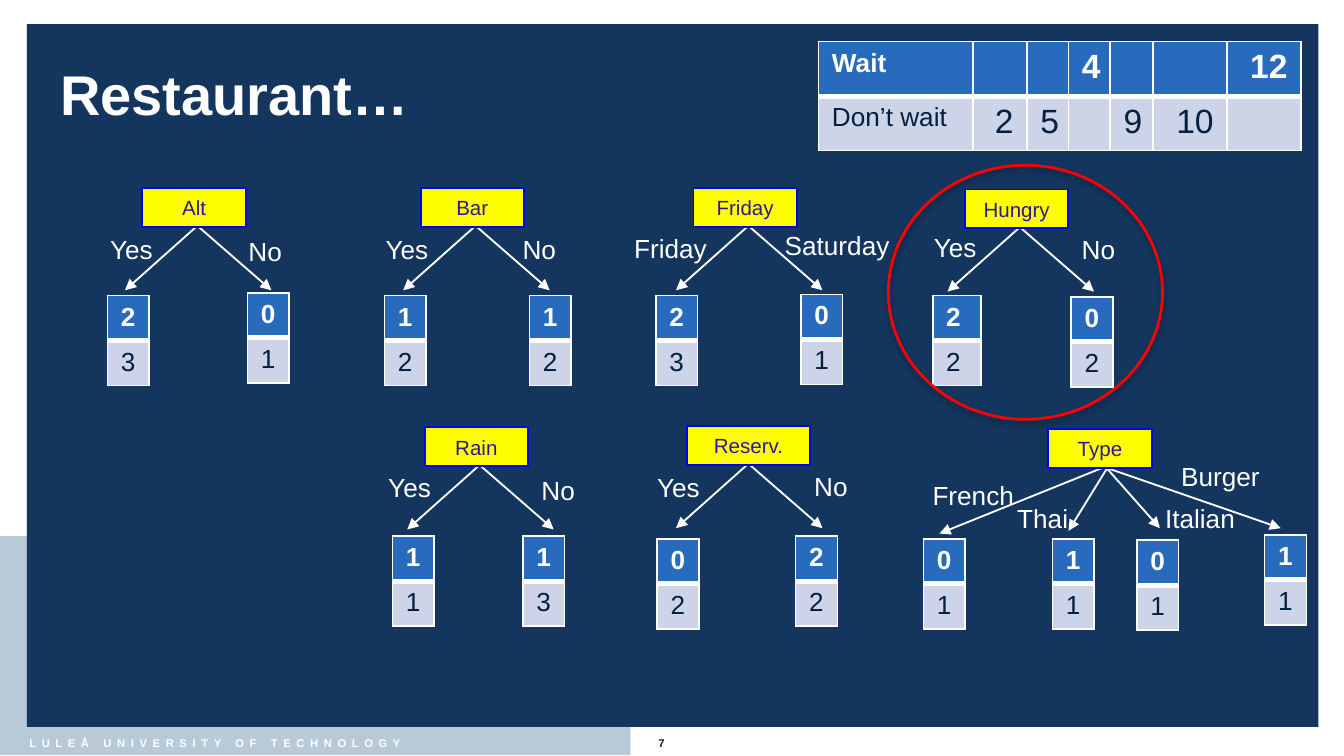
from lxml import etree
from pptx import Presentation
from pptx.dml.color import RGBColor
from pptx.enum.shapes import MSO_CONNECTOR, MSO_SHAPE
from pptx.enum.text import MSO_ANCHOR, PP_ALIGN
from pptx.oxml import parse_xml
from pptx.oxml.ns import nsdecls, qn
from pptx.util import Inches, Pt

WHITE = RGBColor(0xFF, 0xFF, 0xFF)
NAVY = RGBColor(0x14, 0x35, 0x5E)
MIST = RGBColor(0xB8, 0xC9, 0xD7)
INK = RGBColor(0x03, 0x20, 0x40)
YELLOW = RGBColor(0xFF, 0xFF, 0x00)
BLUE = RGBColor(0x00, 0x00, 0xFF)
VIOLET = RGBColor(0x2D, 0x19, 0x93)
HEADER = RGBColor(0x28, 0x6B, 0xBD)
BODY = RGBColor(0xCD, 0xD4, 0xE8)
RED = RGBColor(0xFF, 0x00, 0x00)

LABEL_WIDTHS = {"Yes": 0.52, "No": 0.45, "Friday": 0.75, "Saturday": 0.99,
                "French": 0.81, "Thai": 0.58, "Italian": 0.72, "Burger": 0.79}

# Name, left, top, width, apex of the arrows, branches.
# Branch: label, label left, label top, (wait, don't wait), table left, table top, table width
TREES = [
    ("Alt", 1.06, 1.4, 0.77, 1.48, [
        ("Yes", 0.72, 1.69, (2, 3), 0.8, 2.2, 0.31),
        ("No", 1.75, 1.7, (0, 1), 1.84, 2.18, 0.31)]),
    ("Bar", 3.13, 1.4, 0.77, 3.55, [
        ("Yes", 2.77, 1.69, (1, 2), 2.86, 2.2, 0.31),
        ("No", 3.79, 1.69, (1, 2), 3.94, 2.2, 0.31)]),
    ("Friday", 5.16, 1.4, 0.77, 5.58, [
        ("Friday", 4.62, 1.68, (2, 3), 4.88, 2.2, 0.31),
        ("Saturday", 5.74, 1.66, (0, 1), 5.96, 2.19, 0.31)]),
    ("Hungry", 7.18, 1.41, 0.77, 7.6, [
        ("Yes", 6.85, 1.67, (2, 2), 6.94, 2.2, 0.36),
        ("No", 7.95, 1.69, (0, 2), 7.97, 2.21, 0.31)]),
    ("Rain", 3.16, 3.18, 0.77, 3.58, [
        ("Yes", 2.79, 3.46, (1, 1), 2.92, 3.99, 0.31),
        ("No", 3.93, 3.48, (1, 3), 3.89, 3.99, 0.31)]),
    ("Reserv.", 5.11, 3.17, 0.92, 5.58, [
        ("Yes", 4.79, 3.46, (0, 2), 4.89, 4.01, 0.31),
        ("No", 5.96, 3.45, (2, 2), 5.92, 3.99, 0.31)]),
    ("Type", 7.8, 3.19, 0.77, 8.24, [
        ("French", 6.84, 3.52, (0, 1), 6.87, 4.01, 0.31),
        ("Thai", 7.47, 3.69, (1, 1), 7.83, 4.01, 0.31),
        ("Italian", 8.57, 3.69, (0, 1), 8.46, 4.02, 0.31),
        ("Burger", 8.69, 3.38, (1, 1), 9.41, 3.98, 0.31)]),
]
TYPE_ARROWS = [((8.28, 3.45), (6.99, 3.97)), ((8.24, 3.48), (7.95, 3.95)),
               ((8.24, 3.49), (8.63, 3.93)), ((8.23, 3.48), (9.53, 3.93))]


class SlideBuilder:
    font = "Arial"

    def __init__(self, slide):
        self.slide = slide

    def style(self, p, size, color, bold=False, spacing=None):
        for r in p.runs:
            r.font.name, r.font.size, r.font.bold = self.font, Pt(size), bold
            r.font.color.rgb = color
            if spacing:
                r.font._element.set("spc", str(spacing * 100))

    def shape(self, kind, left, top, width, height, fill=None, line=None, weight=1):
        sp = self.slide.shapes.add_shape(
            kind, Inches(left), Inches(top), Inches(width), Inches(height))
        sp.shadow.inherit = False
        if fill is None:
            sp.fill.background()
        else:
            sp.fill.solid()
            sp.fill.fore_color.rgb = fill
        if line is None:
            sp.line.fill.background()
        else:
            sp.line.color.rgb = line
            sp.line.width = Pt(weight)
        return sp

    def panel(self, left, top, width, height, fill):
        self.shape(MSO_SHAPE.RECTANGLE, left, top, width, height, fill)

    def node(self, text, left, top, width):
        sp = self.shape(MSO_SHAPE.RECTANGLE, left, top, width, 0.29, YELLOW, BLUE)
        tf = sp.text_frame
        tf.text = text
        tf.vertical_anchor = MSO_ANCHOR.MIDDLE
        tf.paragraphs[0].alignment = PP_ALIGN.CENTER
        self.style(tf.paragraphs[0], 11, VIOLET)

    def text(self, text, left, top, width, height, size, color=WHITE, bold=False,
             spacing=None, anchor=MSO_ANCHOR.TOP, wrap=False):
        sp = self.slide.shapes.add_textbox(
            Inches(left), Inches(top), Inches(width), Inches(height))
        tf = sp.text_frame
        tf.text = text
        tf.word_wrap = wrap
        tf.vertical_anchor = anchor
        self.style(tf.paragraphs[0], size, color, bold, spacing)

    def arrow(self, start, end):
        line = self.slide.shapes.add_connector(
            MSO_CONNECTOR.STRAIGHT, *map(Inches, start + end))
        line.line.color.rgb = WHITE
        line.line.width = Pt(1)
        etree.SubElement(line.line._get_or_add_ln(), qn("a:tailEnd"), type="triangle")
        etree.SubElement(line._element.spPr, qn("a:effectLst"))

    def borders(self, cell, top, bottom):
        sides = (("L", 1), ("R", 1), ("T", top), ("B", bottom))
        for i, (side, weight) in enumerate(sides):
            cell._tc.get_or_add_tcPr().insert(i, parse_xml(
                f'<a:ln{side} {nsdecls("a")} w="{Pt(weight)}"><a:solidFill>'
                f'<a:srgbClr val="{WHITE}"/></a:solidFill></a:ln{side}>'))

    def table(self, rows, left, top, widths, height, number_size=14, align=PP_ALIGN.LEFT):
        """Two rows: a blue header above a pale body, split by a thick rule."""
        table = self.slide.shapes.add_table(
            2, len(widths), Inches(left), Inches(top),
            Inches(sum(widths)), Inches(height)).table
        for column, width in zip(table.columns, widths):
            column.width = Inches(width)
        for i, values in enumerate(rows):
            for j, value in enumerate(values):
                cell = table.cell(i, j)
                cell.fill.solid()
                cell.fill.fore_color.rgb = BODY if i else HEADER
                self.borders(cell, *((3, 1) if i else (1, 3)))
                cell.text = str(value)
                p = cell.text_frame.paragraphs[0]
                is_number = isinstance(value, int)
                p.alignment = align if is_number else PP_ALIGN.LEFT
                self.style(p, number_size if is_number else 14,
                           INK if i else WHITE, bold=not i)

    def highlight(self, left, top, width, height):
        """Red ring with a soft shadow below it."""
        sp = self.shape(MSO_SHAPE.OVAL, left, top, width, height, line=RED, weight=1.5)
        effects = sp._element.spPr.find(qn("a:effectLst"))
        effects.append(parse_xml(
            f'<a:outerShdw {nsdecls("a")} blurRad="{Pt(3.1)}" dist="{Pt(1.8)}" '
            'dir="5400000" rotWithShape="0"><a:srgbClr val="000000">'
            '<a:alpha val="35000"/></a:srgbClr></a:outerShdw>'))

    def tree(self, name, left, top, width, apex, branches, arrows=None):
        arrows = arrows or [((apex, top + 0.27), (apex - 0.55, top + 0.76)),
                            ((apex, top + 0.29), (apex + 0.54, top + 0.76))]
        for start, end in arrows:
            self.arrow(start, end)
        self.node(name, left, top, width)
        for label, x, y, counts, table_left, table_top, table_width in branches:
            self.text(label, x, y, LABEL_WIDTHS[label], 0.34, 14)
            self.table([[n] for n in counts], table_left, table_top, [table_width], 0.67)


def main():
    prs = Presentation()
    prs.slide_width = Inches(10)
    prs.slide_height = prs.slide_width * 9 // 16
    s = SlideBuilder(prs.slides.add_slide(prs.slide_layouts[6]))

    s.panel(0, 3.99, 4.69, 1.63, MIST)
    s.panel(0.2, 0.18, 9.61, 5.23, NAVY)
    s.text("LULEÅ UNIVERSITY OF TECHNOLOGY", 0.12, 5.43, 4.5, 0.19, 6,
           bold=True, spacing=3)
    s.text("7", 4.8, 5.43, 0.37, 0.19, 6, INK, bold=True)
    s.text("Restaurant…", 0.35, 0.2, 9.29, 0.99, 30, bold=True,
           anchor=MSO_ANCHOR.MIDDLE, wrap=True)

    for tree in TREES:
        s.tree(*tree, arrows=TYPE_ARROWS if tree[0] == "Type" else None)
    s.highlight(6.61, 1.23, 2.04, 1.89)
    s.table([["Wait", "", "", 4, "", "", 12], ["Don’t wait", 2, 5, "", 9, 10, ""]],
            6.09, 0.31, [1.15, 0.4, 0.31, 0.31, 0.32, 0.55, 0.55], 0.81,
            number_size=18, align=PP_ALIGN.RIGHT)
    prs.save("out.pptx")


if __name__ == "__main__":
    main()
